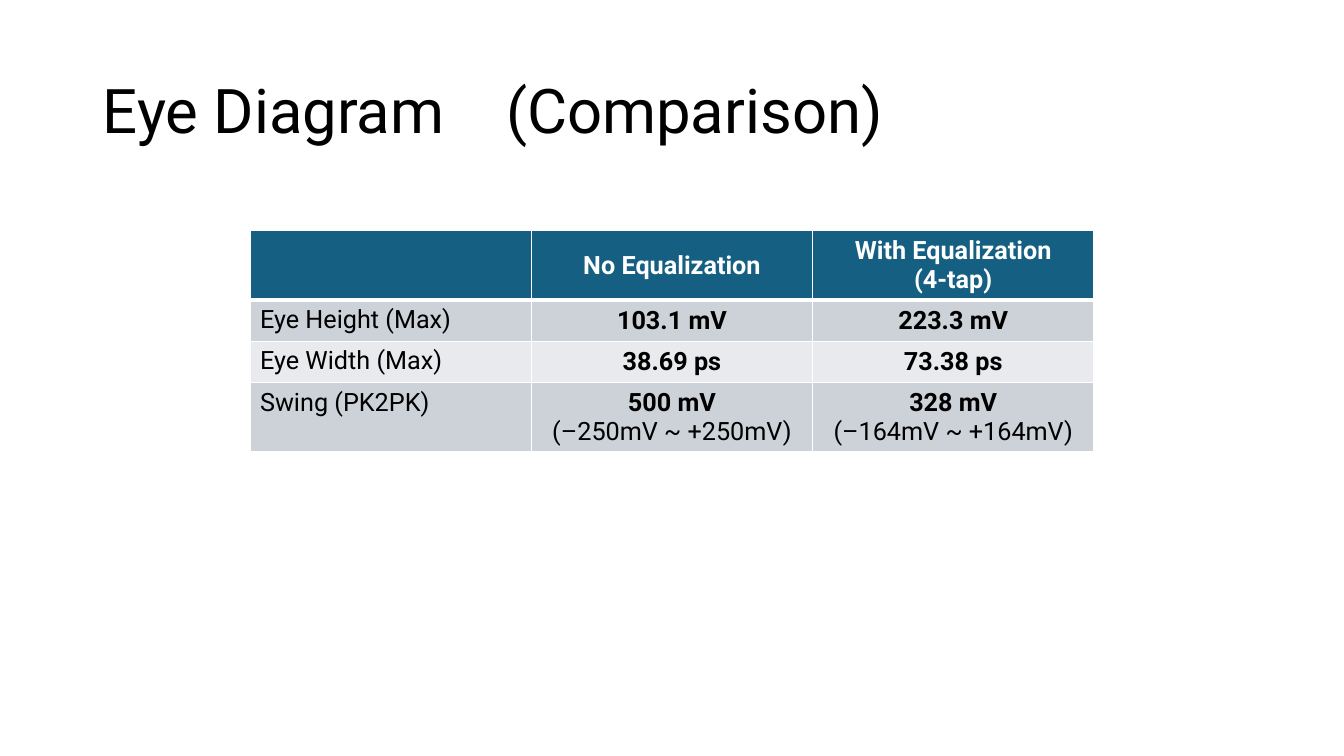
from lxml import etree
from pptx import Presentation
from pptx.dml.color import RGBColor
from pptx.enum.text import MSO_ANCHOR, PP_ALIGN
from pptx.oxml.ns import qn
from pptx.util import Inches, Pt

LEFT, CENTER = PP_ALIGN.LEFT, PP_ALIGN.CENTER
TOP, MIDDLE = MSO_ANCHOR.TOP, MSO_ANCHOR.MIDDLE
BLACK = RGBColor(0x00, 0x00, 0x00)
WHITE = RGBColor(0xFF, 0xFF, 0xFF)
HEADER_BLUE = RGBColor(0x15, 0x60, 0x82)
BAND_DARK = RGBColor(0xCC, 0xD2, 0xD8)
BAND_LIGHT = RGBColor(0xE8, 0xEA, 0xED)
FONT = "Roboto"

MEASUREMENTS = [
    ["", "No Equalization", "With Equalization\n(4-tap)"],
    ["Eye Height (Max)", "103.1 mV", "223.3 mV"],
    ["Eye Width (Max)", "38.69 ps", "73.38 ps"],
    ["Swing (PK2PK)", "500 mV\n(–250mV ~ +250mV)", "328 mV\n(–164mV ~ +164mV)"],
]
ROW_HEIGHTS = [0.68, 0.41, 0.41, 0.68]


def style_run(run, size, color, bold=False):
    run.font.name = FONT
    run.font.size = Pt(size)
    run.font.color.rgb = color
    run.font.bold = bold


def add_title(slide, left, top, width, height):
    title = slide.shapes.title
    title.left, title.top = Inches(left), Inches(top)
    title.width, title.height = Inches(width), Inches(height)
    frame = title.text_frame
    frame.vertical_anchor = MIDDLE
    heading = frame.paragraphs[0]
    heading.text = "Eye Diagram\t(Comparison)"
    heading.alignment = LEFT
    heading.line_spacing = 0.9
    tab_list = etree.SubElement(heading._p.get_or_add_pPr(), qn("a:tabLst"))
    etree.SubElement(tab_list, qn("a:tab"), pos=str(Inches(4)), algn="l")
    for run in heading.runs:
        style_run(run, 44, BLACK)


def add_borders(cell, bottom_width):
    properties = cell._tc.get_or_add_tcPr()
    widths = {"a:lnL": 1, "a:lnR": 1, "a:lnT": 1, "a:lnB": bottom_width}
    for tag, width in widths.items():
        border = etree.SubElement(properties, qn(tag), w=str(Pt(width)))
        border_fill = etree.SubElement(border, qn("a:solidFill"))
        etree.SubElement(border_fill, qn("a:srgbClr"), val=str(WHITE))


def fill_cell(cell, wording, row, column):
    is_header, is_label = row == 0, column == 0
    add_borders(cell, 3 if is_header else 1)
    cell.fill.solid()
    band = BAND_DARK if row % 2 else BAND_LIGHT
    cell.fill.fore_color.rgb = HEADER_BLUE if is_header else band
    cell.vertical_anchor = TOP if is_label else MIDDLE
    paragraph = cell.text_frame.paragraphs[0]
    paragraph.text = wording
    paragraph.alignment = LEFT if is_label else CENTER
    for line, run in enumerate(paragraph.runs):
        bold = is_header or (not is_label and line == 0)
        style_run(run, 18, WHITE if is_header else BLACK, bold)


def add_comparison_table(slide, left, top, width):
    rows, columns = len(MEASUREMENTS), len(MEASUREMENTS[0])
    table = slide.shapes.add_table(
        rows, columns, Inches(left), Inches(top),
        Inches(width), Inches(sum(ROW_HEIGHTS))).table
    for column in table.columns:
        column.width = Inches(width / columns)
    for row, wordings in enumerate(MEASUREMENTS):
        table.rows[row].height = Inches(ROW_HEIGHTS[row])
        for column, wording in enumerate(wordings):
            fill_cell(table.cell(row, column), wording, row, column)


def main():
    presentation = Presentation()
    presentation.slide_width = Inches(13.33)
    presentation.slide_height = Inches(7.5)
    slide = presentation.slides.add_slide(presentation.slide_layouts[5])
    add_title(slide, 0.92, 0.4, 11.5, 1.45)
    add_comparison_table(slide, 2.48, 2.29, 8.37)
    presentation.save("out.pptx")


if __name__ == "__main__":
    main()
